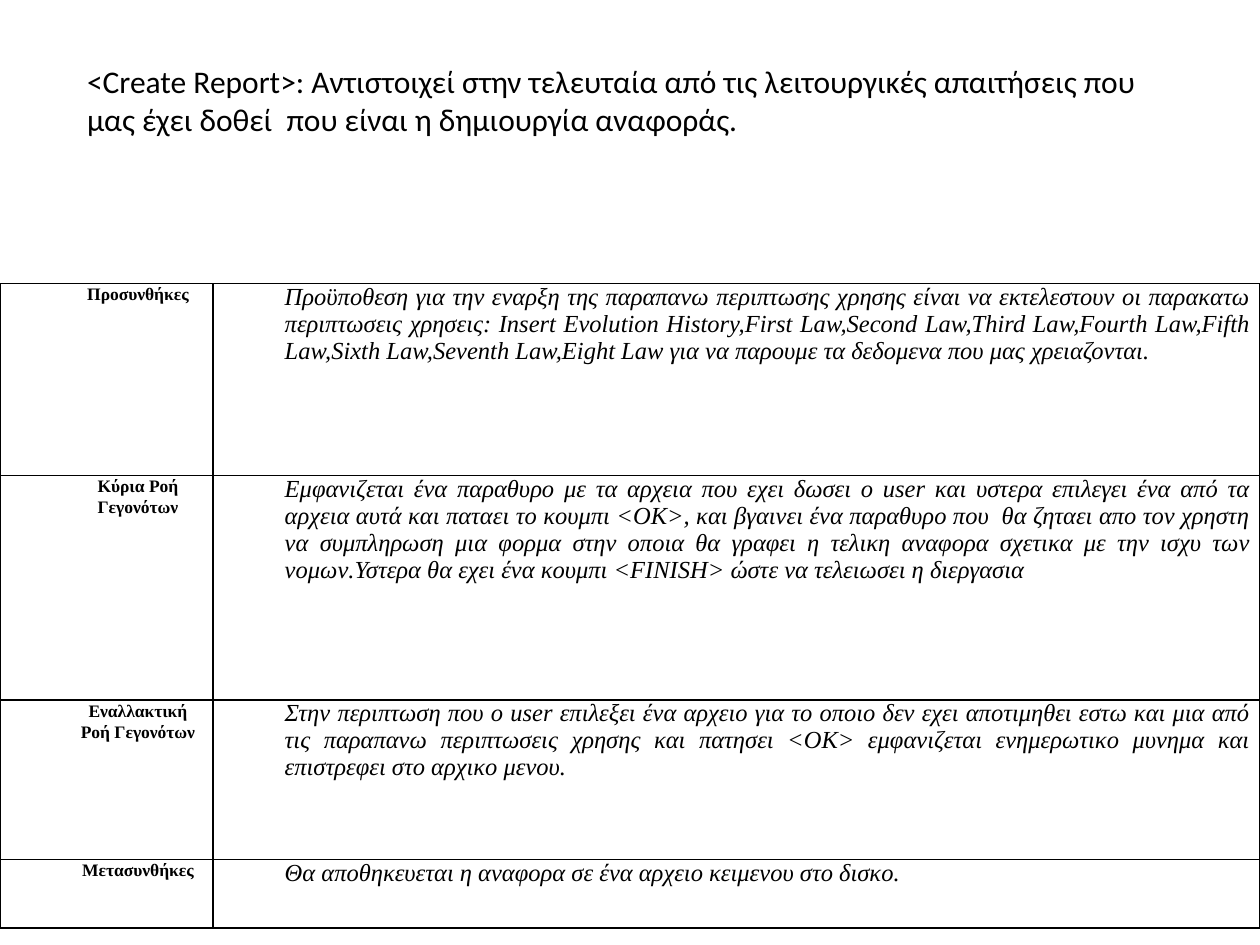
from lxml import etree
from pptx import Presentation
from pptx import util as u
from pptx.dml.color import RGBColor
from pptx.enum import text
from pptx.oxml.ns import qn

BLACK = "000000"
TITLE = ("<Create Report>: Αντιστοιχεί στην τελευταία από τις λειτουργικές "
         "απαιτήσεις που μας έχει δοθεί  που είναι η δημιουργία αναφοράς.")
# Row height in cm, label, description
USE_CASE_ROWS = [
    (3.87, "Προσυνθήκες",
     "Προϋποθεση για την εναρξη της παραπανω περιπτωσης χρησης είναι να "
     "εκτελεστουν οι παρακατω περιπτωσεις χρησεις: Insert Evolution "
     "History,First Law,Second Law,Third Law,Fourth Law,Fifth Law,Sixth "
     "Law,Seventh Law,Eight Law για να παρουμε τα δεδομενα που μας "
     "χρειαζονται."),
    (4.52, "Κύρια Ροή Γεγονότων",
     "Εμφανιζεται ένα παραθυρο με τα αρχεια που εχει δωσει ο user και υστερα "
     "επιλεγει ένα από τα αρχεια αυτά και παταει το κουμπι <ΟΚ>, και βγαινει "
     "ένα παραθυρο που  θα ζηταει απο τον χρηστη να συμπληρωση μια φορμα στην "
     "οποια θα γραφει η τελικη αναφορα σχετικα με την ισχυ των νομων.Υστερα "
     "θα εχει ένα κουμπι <FINISH> ώστε να τελειωσει η διεργασια"),
    (3.22, "Εναλλακτική Ροή Γεγονότων",
     "Στην περιπτωση που ο user επιλεξει ένα αρχειο για το οποιο δεν εχει "
     "αποτιμηθει εστω και μια από τις παραπανω περιπτωσεις χρησης και πατησει "
     "<ΟΚ> εμφανιζεται ενημερωτικο μυνημα και επιστρεφει στο αρχικο μενου."),
    (1.38, "Μετασυνθήκες",
     "Θα αποθηκευεται η αναφορα σε ένα αρχειο κειμενου στο δισκο."),
]
COLUMN_WIDTHS = (4.29, 21.11)

TITLE_FONT = {"name": "Calibri", "size": u.Pt(18), "bold": False}
LABEL_FONT = {"name": "Times New Roman", "size": u.Pt(10), "bold": True,
              "italic": False}
DETAIL_FONT = {"name": "Times New Roman", "size": u.Pt(14), "bold": False,
               "italic": True}
LABEL_PARA = {"alignment": text.PP_ALIGN.CENTER, "line_spacing": u.Pt(12),
              "space_after": u.Pt(6)}
DETAIL_PARA = {"alignment": text.PP_ALIGN.JUSTIFY, "space_after": u.Pt(6)}
CELL_FORMAT = {"margin_left": u.Cm(0.18), "margin_right": u.Cm(0.18),
               "margin_top": 0, "margin_bottom": 0}


def color(value):
    return RGBColor.from_string(value)


def apply(target, values):
    for name, value in values.items():
        setattr(target, name, value)


def write(para, words, para_format, font_format):
    apply(para, para_format)
    span = para.add_run()
    span.text = words
    apply(span.font, font_format)
    span.font.color.rgb = color(BLACK)


def add_borders(cell):
    properties = cell._tc.get_or_add_tcPr()
    for place, side in enumerate(("lnL", "lnR", "lnT", "lnB")):
        line = etree.Element(qn("a:" + side), w=str(u.Pt(1)))
        fill = etree.SubElement(line, qn("a:solidFill"))
        etree.SubElement(fill, qn("a:srgbClr"), val=BLACK)
        properties.insert(place, line)


def fill_cell(cell, words, para_format, font_format):
    apply(cell, CELL_FORMAT)
    cell.fill.background()
    add_borders(cell)
    para = cell.text_frame.paragraphs[0]
    write(para, words, para_format, font_format)
    properties = para._p.get_or_add_pPr()
    properties.set("marL", str(u.Cm(1.27)))
    properties.set("indent", "0")


def add_title(page):
    title = page.shapes.title
    apply(title, {"left": u.Cm(1.5), "top": u.Cm(1.12),
                  "width": u.Cm(22.2), "height": u.Cm(1.8)})
    apply(title.text_frame, {"word_wrap": True,
                             "auto_size": text.MSO_AUTO_SIZE.NONE,
                             "vertical_anchor": text.MSO_ANCHOR.TOP})
    write(title.text_frame.paragraphs[0], TITLE,
          {"alignment": text.PP_ALIGN.LEFT}, TITLE_FONT)


def add_use_case_table(page):
    height = sum(row[0] for row in USE_CASE_ROWS)
    table = page.shapes.add_table(
        len(USE_CASE_ROWS), len(COLUMN_WIDTHS), 0, u.Cm(5.72),
        u.Cm(sum(COLUMN_WIDTHS)), u.Cm(height)).table
    apply(table, {"first_row": False, "horz_banding": False})
    for column, width in zip(table.columns, COLUMN_WIDTHS):
        column.width = u.Cm(width)
    for row, (height, label, detail) in zip(table.rows, USE_CASE_ROWS):
        row.height = u.Cm(height)
        fill_cell(row.cells[0], label, LABEL_PARA, LABEL_FONT)
        fill_cell(row.cells[1], detail, DETAIL_PARA, DETAIL_FONT)


def main():
    deck = Presentation()
    apply(deck, {"slide_width": u.Cm(25.4), "slide_height": u.Cm(19.05)})
    page = deck.slides.add_slide(deck.slide_layouts[5])  # Title Only
    add_title(page)
    add_use_case_table(page)
    deck.save("out.pptx")


if __name__ == "__main__":
    main()
